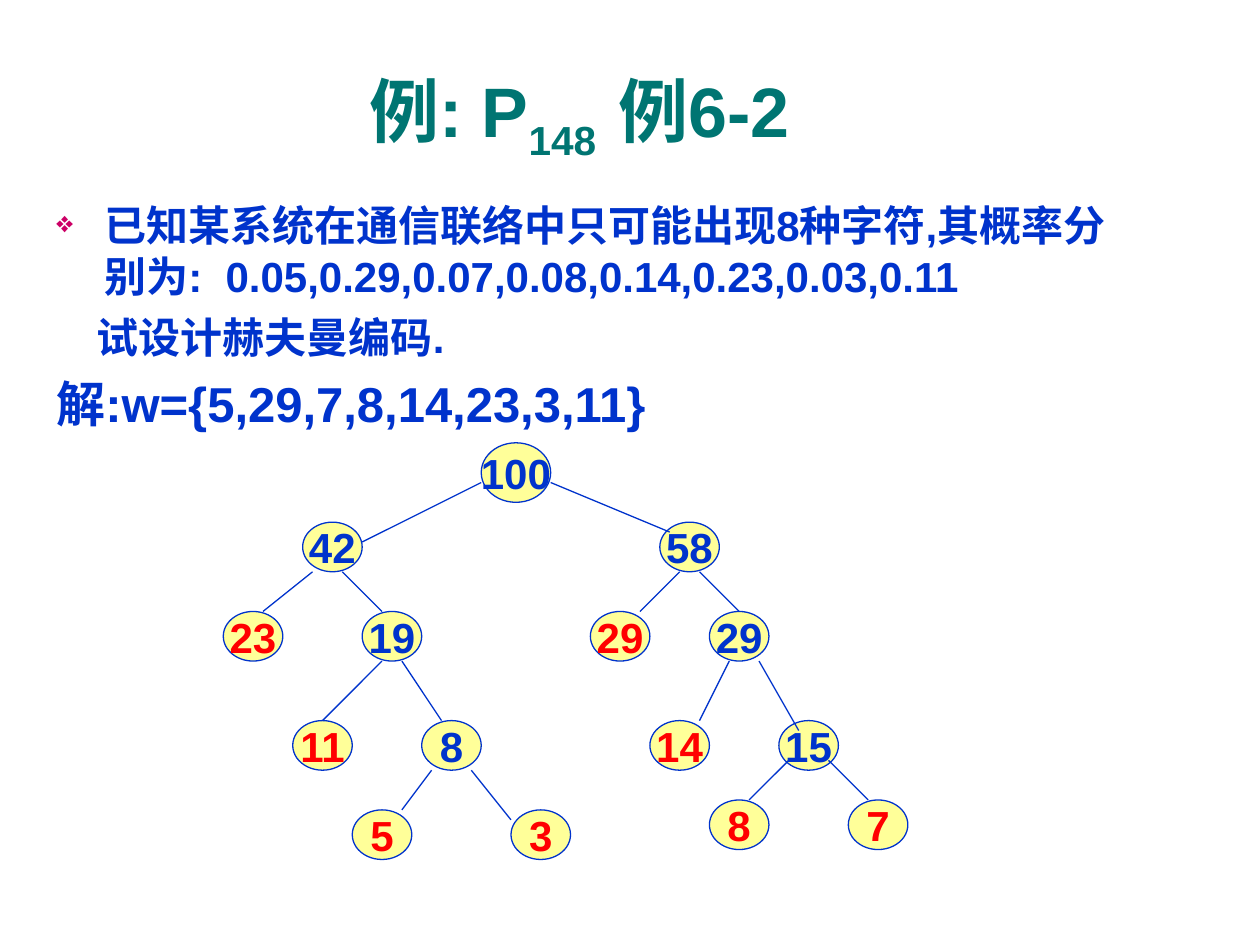
import pptx
import pptx.util
import pptx.dml.color
import pptx.enum.shapes
import pptx.enum.text
import pptx.oxml.ns
from lxml import etree

COLORS = {"title": "007572", "ink": "0033CC", "leaf": "FF0000",
          "node": "FFFF99", "bullet": "CC0066"}
FONT = "Arial"
WIDTH, HEIGHT = 10, 7.5
CELL = 2 / 25.4            # the tree sits on a 2 mm grid
ORIGIN = (0.04, 0.05)

TITLE = [("例: P", 0), ("148  ", -25), ("例6-2", 0)]
# text, size, space before, left margin, first-line indent, bullet
BODY = [
    ("已知某系统在通信联络中只可能出现8种字符,其概率分别为:  "
     "0.05,0.29,0.07,0.08,0.14,0.23,0.03,0.11", 24, 6, 0.38, -0.38, "❖"),
    ("试设计赫夫曼编码.", 24, 6, 0.32, 0, None),
    ("解:w={5,29,7,8,14,23,3,11}", 28, 7, 0.38, -0.38, None),
]

ROOT_SIZE, NODE_SIZE = (7, 6), (6, 5)
# label, column, row
ROOT = ("100", 48, 44)
INNER = [("42", 30, 52), ("58", 66, 52), ("19", 36, 61), ("29", 71, 61),
         ("8", 42, 72), ("15", 78, 72)]
LEAVES = [("23", 22, 61), ("29", 59, 61), ("11", 29, 72), ("14", 65, 72),
          ("5", 35, 81), ("3", 51, 81), ("8", 71, 80), ("7", 85, 80)]
# start column and row, end column and row
BRANCHES = [
    (48, 48, 36, 54), (55, 48, 67, 53),
    (31, 57, 26, 61), (34, 57, 38, 61), (68, 57, 64, 61), (70, 57, 74, 61),
    (38, 66, 32, 72), (40, 66, 44, 72), (73, 66, 70, 72), (76, 66, 80, 73),
    (43, 77, 40, 81), (47, 77, 51, 82), (79, 76, 75, 80), (83, 76, 87, 80),
]


def color(name):
    return pptx.dml.color.RGBColor.from_string(COLORS[name])


def grid_point(column, row):
    return (pptx.util.Inches(ORIGIN[0] + column * CELL),
            pptx.util.Inches(ORIGIN[1] + row * CELL))


def add_text(para, text, size=24, ink="ink", baseline=0):
    span = para.add_run()
    span.text = text
    span.font.name = FONT
    span.font.size = pptx.util.Pt(size)
    span.font.bold = True
    span.font.color.rgb = color(ink)
    if baseline:
        span.font._element.set("baseline", str(baseline * 1000))


def add_box(page, left, top, width, height):
    """Add a wrapping text box placed by shares of the slide."""
    box = page.shapes.add_textbox(
        pptx.util.Inches(left * WIDTH), pptx.util.Inches(top * HEIGHT),
        pptx.util.Inches(width * WIDTH), pptx.util.Inches(height * HEIGHT))
    box.text_frame.word_wrap = True
    return box.text_frame


def set_indent(para, margin, indent, bullet):
    settings = para._p.get_or_add_pPr()
    settings.set("marL", str(pptx.util.Inches(margin)))
    settings.set("indent", str(pptx.util.Inches(indent)))
    tag = pptx.oxml.ns.qn
    if not bullet:
        etree.SubElement(settings, tag("a:buNone"))
        return
    tint = etree.SubElement(settings, tag("a:buClr"))
    etree.SubElement(tint, tag("a:srgbClr"), val=COLORS["bullet"])
    etree.SubElement(settings, tag("a:buSzPct"), val="70000")
    etree.SubElement(settings, tag("a:buChar"), char=bullet)


def set_line(line):
    line.color.rgb = color("ink")
    line.width = pptx.util.Pt(0.75)


def add_node(page, label, column, row, size=NODE_SIZE, ink="ink"):
    node = page.shapes.add_shape(
        pptx.enum.shapes.MSO_SHAPE.OVAL, *grid_point(column, row),
        *(pptx.util.Inches(cells * CELL) for cells in size))
    node.shadow.inherit = False
    node.fill.solid()
    node.fill.fore_color.rgb = color("node")
    set_line(node.line)
    frame = node.text_frame
    frame.word_wrap = False
    frame.vertical_anchor = pptx.enum.text.MSO_ANCHOR.MIDDLE
    para = frame.paragraphs[0]
    para.alignment = pptx.enum.text.PP_ALIGN.CENTER
    add_text(para, label, ink=ink)


def add_branch(page, start_column, start_row, end_column, end_row):
    branch = page.shapes.add_connector(
        pptx.enum.shapes.MSO_CONNECTOR.STRAIGHT,
        *grid_point(start_column, start_row), *grid_point(end_column, end_row))
    set_line(branch.line)
    etree.SubElement(branch._element.spPr, pptx.oxml.ns.qn("a:effectLst"))


def main():
    deck = pptx.Presentation()
    deck.slide_width = pptx.util.Inches(WIDTH)
    deck.slide_height = pptx.util.Inches(HEIGHT)
    page = deck.slides.add_slide(deck.slide_layouts[6])

    frame = add_box(page, 0.098, 0.07, 0.724, 0.105)
    frame.vertical_anchor = pptx.enum.text.MSO_ANCHOR.MIDDLE
    para = frame.paragraphs[0]
    para.alignment = pptx.enum.text.PP_ALIGN.CENTER
    for text, baseline in TITLE:
        add_text(para, text, size=40, ink="title", baseline=baseline)

    frame = add_box(page, 0.035, 0.205, 0.866, 0.735)
    for index, (text, size, before, margin, indent, bullet) in enumerate(BODY):
        para = frame.add_paragraph() if index else frame.paragraphs[0]
        para.space_before = pptx.util.Pt(before)
        set_indent(para, margin, indent, bullet)
        add_text(para, text, size=size)

    add_node(page, *ROOT, size=ROOT_SIZE)
    for node in INNER:
        add_node(page, *node)
    for leaf in LEAVES:
        add_node(page, *leaf, ink="leaf")
    for branch in BRANCHES:
        add_branch(page, *branch)

    deck.save("out.pptx")


if __name__ == "__main__":
    main()
